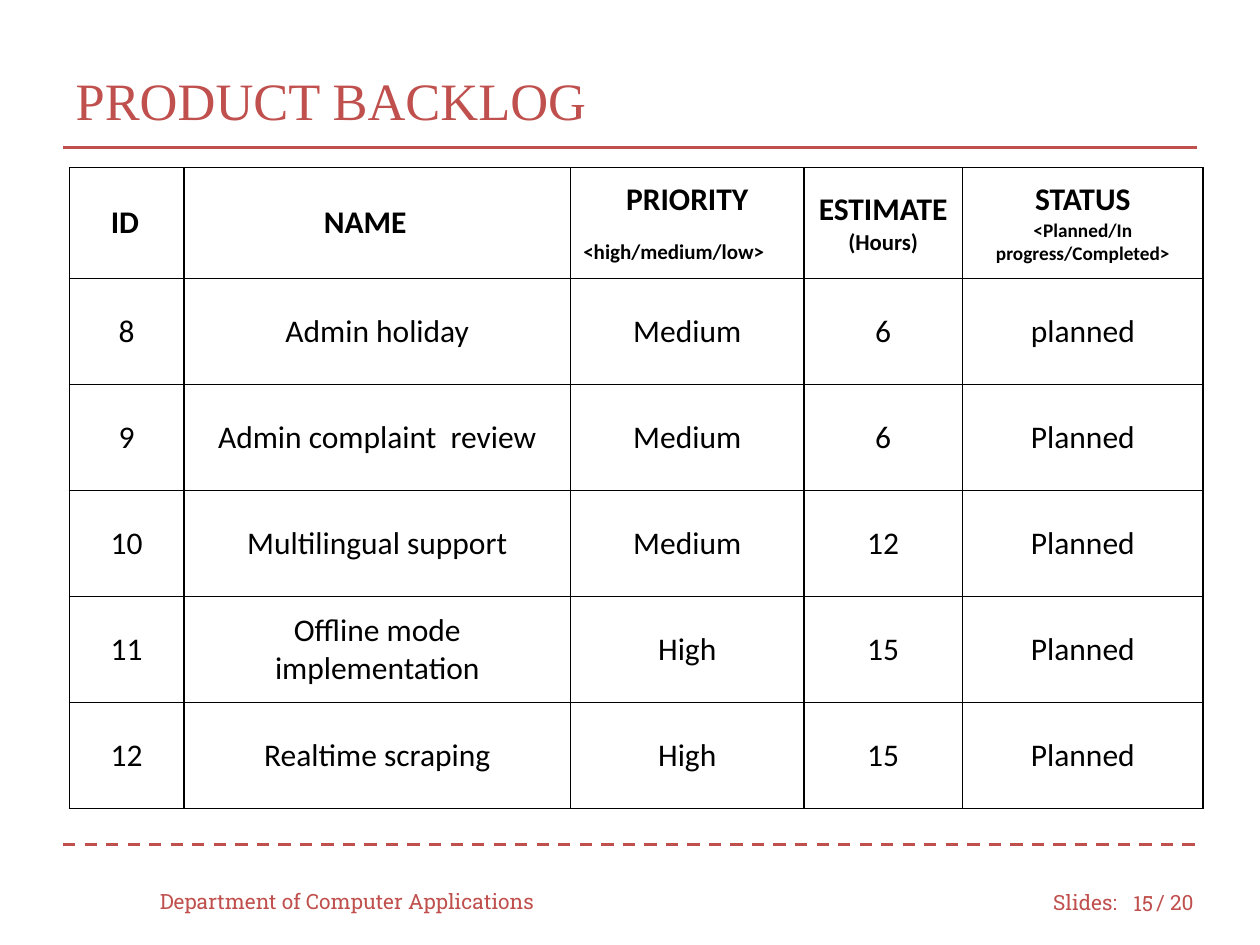
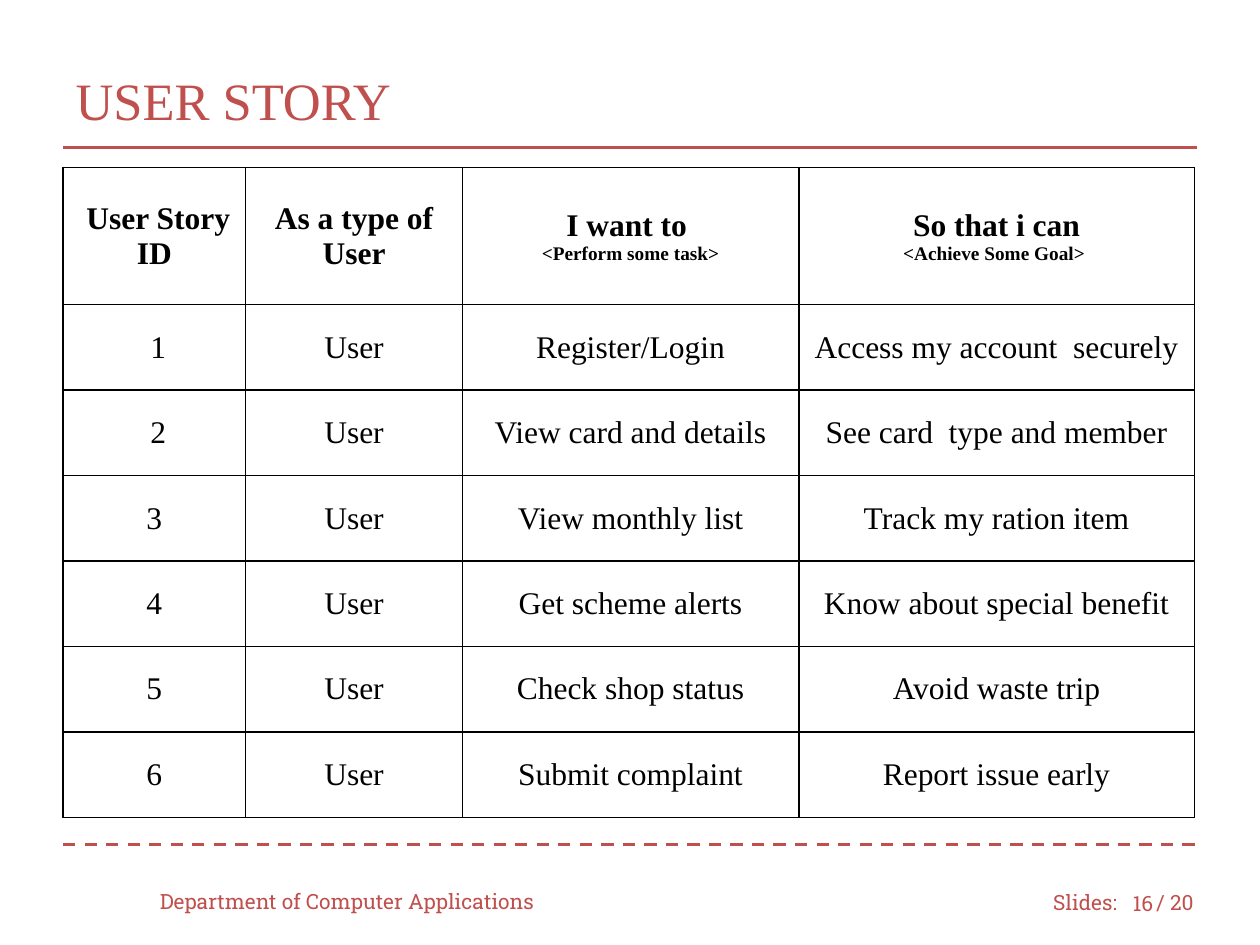
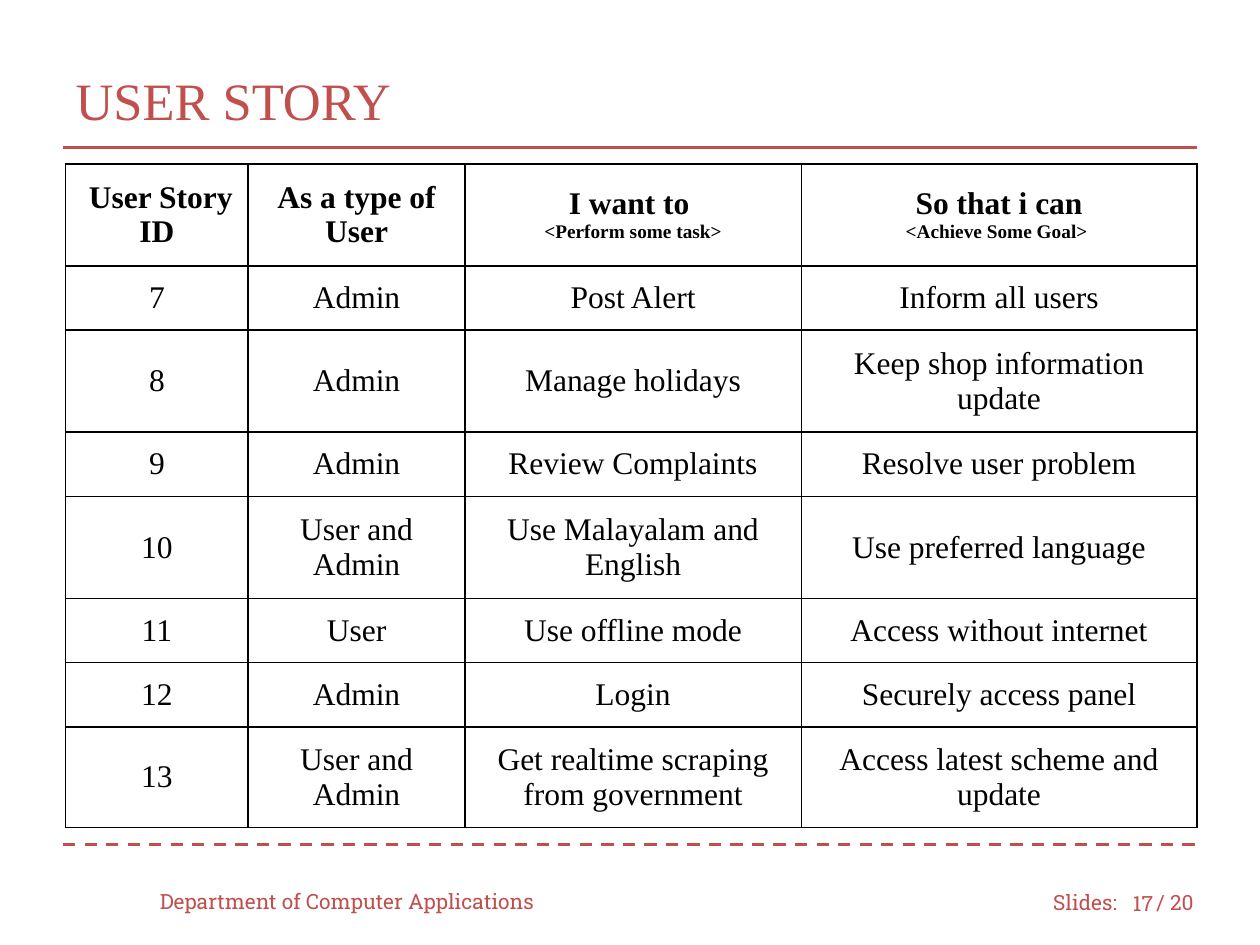
import pptx
import pptx.dml.color
import pptx.enum.dml
import pptx.enum.shapes
import pptx.enum.text
import pptx.oxml
import pptx.oxml.ns
import pptx.util

# The slide is a grid of 10 columns by 7.5 rows; every box is (column, row, columns, rows).
COLUMNS, ROWS = 10, 7.5
CELL = pptx.util.Inches(1)

ACCENT, INK, PAPER = "C0504D", "000000", "FFFFFF"
TITLE_FONT, FOOTER_FONT = "Times New Roman", "Roboto Slab"
TITLE_BOX = (0.5, 0.33, 9, 0.92)
RULE_LEFT, RULE_RIGHT = 0.5, 9.5
TITLE_RULE_ROW, FOOTER_RULE_ROW = 1.17, 6.7
FOOTER_HEIGHT = 0.4
TOTAL_SLIDES = 20
BODY_SIZE = 18
BORDER_POINTS = 1

ALIGN = pptx.enum.text.PP_ALIGN
MIDDLE = pptx.enum.text.MSO_ANCHOR.MIDDLE


def grid(*lengths):
    return [round(length * CELL) for length in lengths]


def color(hex_code):
    return pptx.dml.color.RGBColor.from_string(hex_code)


def write(paragraph, text, font, size, hex_code, bold=False, align=ALIGN.LEFT):
    paragraph.alignment = align
    run = paragraph.add_run()
    run.text = text
    run.font.name = font
    run.font.size = pptx.util.Pt(size)
    run.font.bold = bold
    run.font.color.rgb = color(hex_code)


def add_rule(slide, row, dashed=False):
    rule = slide.shapes.add_connector(
        pptx.enum.shapes.MSO_CONNECTOR.STRAIGHT, *grid(RULE_LEFT, row, RULE_RIGHT, row))
    rule.line.color.rgb = color(ACCENT)
    rule.line.width = pptx.util.Pt(1.75)
    if dashed:
        rule.line.dash_style = pptx.enum.dml.MSO_LINE.DASH
    pptx.oxml.ns.qn("a:effectLst")
    rule._element.spPr.append(
        pptx.oxml.parse_xml(f"<a:effectLst {pptx.oxml.ns.nsdecls('a')}/>"))


def add_title(slide, text):
    title = slide.shapes.title
    title.left, title.top, title.width, title.height = grid(*TITLE_BOX)
    title.text_frame.vertical_anchor = MIDDLE
    write(title.text_frame.paragraphs[0], text, TITLE_FONT, 30, ACCENT)
    add_rule(slide, TITLE_RULE_ROW)


def add_footer(slide, number):
    add_rule(slide, FOOTER_RULE_ROW, dashed=True)
    footer_parts = [
        ("Slides:", 8.26, 6.96, 0.75, ALIGN.LEFT),
        (f"/ {TOTAL_SLIDES}", 9.08, 6.96, 0.58, ALIGN.LEFT),
        ("Department of Computer Applications", 1.17, 6.95, 3.33, ALIGN.LEFT),
        (str(number), 8.83, 6.97, 0.42, ALIGN.RIGHT),
    ]
    for text, left, top, width, align in footer_parts:
        frame = slide.shapes.add_textbox(*grid(left, top, width, FOOTER_HEIGHT)).text_frame
        frame.word_wrap = True
        frame.vertical_anchor = MIDDLE
        write(frame.paragraphs[0], text, FOOTER_FONT, 12, ACCENT, align=align)


def style_cell(cell):
    """Give the cell black borders, a white fill, even margins and middle anchoring."""
    properties = cell._tc.get_or_add_tcPr()
    for side in ("lnL", "lnR", "lnT", "lnB"):
        properties.append(pptx.oxml.parse_xml(
            f'<a:{side} {pptx.oxml.ns.nsdecls("a")} w="{pptx.util.Pt(BORDER_POINTS)}">'
            f'<a:solidFill><a:srgbClr val="{INK}"/></a:solidFill></a:{side}>'))
    cell.fill.solid()
    cell.fill.fore_color.rgb = color(PAPER)
    cell.vertical_anchor = MIDDLE
    margin = pptx.util.Inches(0.1)
    cell.margin_left = cell.margin_right = cell.margin_top = cell.margin_bottom = margin


def fill_heading(cell, heading, font):
    """Write a heading: its name, with an optional smaller hint below it."""
    frame = cell.text_frame
    indent = heading.get("indent")
    name = frame.paragraphs[0]
    write(name, heading["name"], font, BODY_SIZE, INK, True,
          ALIGN.LEFT if indent else ALIGN.CENTER)
    if indent:
        name._p.get_or_add_pPr().set("marL", str(pptx.util.Inches(indent)))
    if "hint" in heading:
        hint = frame.add_paragraph()
        write(hint, heading["hint"], font, heading["hint_size"], INK, True,
              heading.get("hint_align", ALIGN.CENTER))
        hint.space_before = pptx.util.Pt(heading.get("hint_gap", 0))


def add_item_table(slide, box, widths, heights, headings, items, font):
    """Fill the box with a table; widths and heights are shares of the box."""
    left, top, width, height = grid(*box)
    table = slide.shapes.add_table(
        len(items) + 1, len(headings), left, top, width, height).table
    table.first_row = table.horz_banding = False
    for column, share in zip(table.columns, widths):
        column.width = round(width * share / sum(widths))
    for row, share in zip(table.rows, heights):
        row.height = round(height * share / sum(heights))
    for cell in table.iter_cells():
        style_cell(cell)
    for index, heading in enumerate(headings):
        fill_heading(table.cell(0, index), heading, font)
    for row_index, item in enumerate(items, start=1):
        for index, value in enumerate(item):
            write(table.cell(row_index, index).text_frame.paragraphs[0], value, font,
                  BODY_SIZE, INK, align=ALIGN.CENTER)


def add_table_slide(deck, number, title, **table_parts):
    slide = deck.slides.add_slide(deck.slide_layouts.get_by_name("Title Only"))
    slide.background.fill.solid()
    slide.background.fill.fore_color.rgb = color(PAPER)
    add_title(slide, title)
    add_footer(slide, number)
    add_item_table(slide, **table_parts)


BACKLOG = {
    "box": (0.55, 1.33, 9, 5.09),
    "widths": [0.91, 3.07, 1.85, 1.26, 1.91],
    "heights": [0.88] + [0.84] * 5,
    "font": "Calibri",
    "headings": [
        {"name": "ID", "indent": 0.23},
        {"name": "NAME", "indent": 1.01},
        {"name": "PRIORITY", "hint": "<high/medium/low>", "hint_size": 12,
         "hint_align": ALIGN.LEFT, "hint_gap": 12},
        {"name": "ESTIMATE", "hint": "(Hours)", "hint_size": 13},
        {"name": "STATUS", "hint": "<Planned/In progress/Completed>", "hint_size": 11},
    ],
    "items": [
        ("8", "Admin holiday", "Medium", "6", "planned"),
        ("9", "Admin complaint  review", "Medium", "6", "Planned"),
        ("10", "Multilingual support", "Medium", "12", "Planned"),
        ("11", "Offline mode implementation", "High", "15", "Planned"),
        ("12", "Realtime scraping", "High", "15", "Planned"),
    ],
}

STORY_TABLE = {
    "widths": [1.45, 1.72, 2.67, 3.14],
    "font": "Times New Roman",
    "headings": [
        {"name": " User Story ID"},
        {"name": "As a type of User"},
        {"name": "I want to ", "hint": "<Perform some task>", "hint_size": 11},
        {"name": "So that i can", "hint": "<Achieve Some Goal> ", "hint_size": 11},
    ],
}

USER_STORIES = [
    (" 1", "User", "Register/Login", "Access my account  securely"),
    (" 2", "User", "View card and details", "See card  type and member"),
    ("3", "User", "View monthly list", "Track my ration item"),
    ("4", "User", "Get scheme alerts", "Know about special benefit"),
    ("5", "User", "Check shop status", "Avoid waste trip"),
    ("6", "User", "Submit complaint", "Report issue early"),
]

ADMIN_STORIES = [
    ("7", "Admin", "Post Alert", "Inform all users"),
    ("8", "Admin", "Manage holidays", "Keep shop information update"),
    ("9", "Admin", "Review Complaints", "Resolve user problem"),
    ("10", "User and Admin", "Use Malayalam and English", "Use preferred language"),
    ("11", "User", "Use offline mode", "Access without internet"),
    ("12", "Admin", "Login", "Securely access panel"),
    ("13", "User and Admin", "Get realtime scraping from government",
     "Access latest scheme and update"),
]


def main():
    deck = pptx.Presentation()
    deck.slide_width, deck.slide_height = grid(COLUMNS, ROWS)
    add_table_slide(deck, 15, "PRODUCT BACKLOG", **BACKLOG)
    add_table_slide(deck, 16, "USER STORY", box=(0.5, 1.33, 8.98, 5.16),
                    heights=[1.09] + [0.68] * 6, items=USER_STORIES, **STORY_TABLE)
    add_table_slide(deck, 17, "USER STORY", box=(0.52, 1.3, 8.98, 5.23),
                    heights=[0.81, 0.51, 0.81, 0.51, 0.81, 0.51, 0.51, 0.76],
                    items=ADMIN_STORIES, **STORY_TABLE)
    deck.save("out.pptx")


if __name__ == "__main__":
    main()
